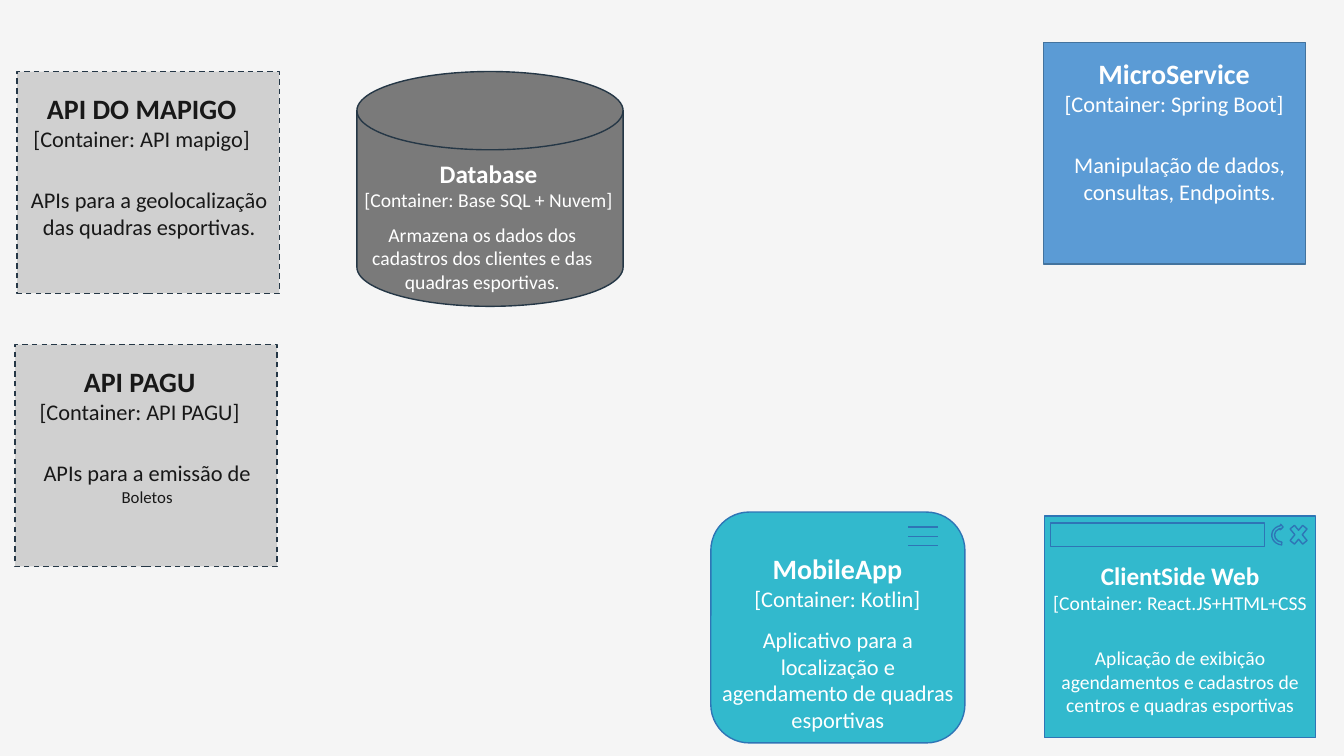
from pptx import Presentation
from pptx.dml.color import RGBColor
from pptx.enum.dml import MSO_LINE_DASH_STYLE as Dash
from pptx.enum.shapes import MSO_CONNECTOR_TYPE as Connector, MSO_SHAPE as Shape
from pptx.enum.text import MSO_AUTO_SIZE as AutoSize, PP_ALIGN as Align
from pptx.oxml.ns import qn
from pptx.util import Inches, Pt
from lxml import etree

BACKGROUND = RGBColor(0xF5, 0xF5, 0xF5)
WHITE = RGBColor(0xFF, 0xFF, 0xFF)
INK = RGBColor(0x18, 0x18, 0x18)
LIGHT_GRAY = RGBColor(0xD0, 0xD0, 0xD0)
DARK_GRAY = RGBColor(0x7A, 0x7A, 0x7A)
NAVY = RGBColor(0x25, 0x37, 0x46)
TEAL = RGBColor(0x32, 0xB9, 0xCD)
BLUE = RGBColor(0x5B, 0x9B, 0xD5)
BLUE_EDGE = RGBColor(0x43, 0x73, 0x9E)
TEAL_EDGE = RGBColor(0x2E, 0x75, 0xB6)

LABEL_WIDTH = 2.81
CARD_WIDTH = 2.6
CARD_HEIGHT = 2.2
LARGE = (20, 16)
SMALL = (18, 14)


def set_format(target, values):
    for name, value in values.items():
        setattr(target, name, value)


def add_box(shapes, kind, box, edge, fill=None, dash=None, rotation=0):
    shape = shapes.add_shape(kind, *map(Inches, box))
    shape.shadow.inherit = False
    shape.rotation = rotation
    if fill is None:
        shape.fill.background()
    else:
        shape.fill.solid()
        shape.fill.fore_color.rgb = fill
    shape.line.color.rgb = edge
    set_format(shape.line, {"width": Pt(1), "dash_style": dash})


def add_label(shapes, box, color, paragraphs):
    """Add centred text; each paragraph is a list of (text, size, bold) runs."""
    frame = shapes.add_textbox(*map(Inches, box)).text_frame
    set_format(frame, {"word_wrap": True, "auto_size": AutoSize.SHAPE_TO_FIT_TEXT})
    for index, runs in enumerate(paragraphs):
        paragraph = frame.add_paragraph() if index else frame.paragraphs[0]
        paragraph.alignment = Align.CENTER
        for text, size, bold in runs:
            run = paragraph.add_run()
            run.text = text
            set_format(run.font, {"name": "Calibri", "size": Pt(size), "bold": bold})
            run.font.color.rgb = color


def add_heading(shapes, left, top, color, name, technology, sizes):
    height = 0.71 if sizes == LARGE else 0.64
    add_label(shapes, (left, top, LABEL_WIDTH, height), color,
              [[(name, sizes[0], True)],
               [(f"[Container: {technology}", sizes[1], False)]])


def add_description(shapes, box, color, text, size):
    add_label(shapes, box, color, [[(text, size, False)]])


def add_rule(shapes, left, right, top):
    rule = shapes.add_connector(Connector.STRAIGHT, Inches(left), Inches(top),
                                Inches(right), Inches(top))
    rule.line.color.rgb = TEAL_EDGE
    rule.line.width = Pt(1)
    etree.SubElement(rule._element.spPr, qn("a:effectLst"))


def add_external_api(slide, left, top, name, technology, description):
    shapes = slide.shapes.add_group_shape().shapes
    add_box(shapes, Shape.RECTANGLE, (left, top, CARD_WIDTH, CARD_HEIGHT),
            NAVY, LIGHT_GRAY, Dash.DASH)
    add_heading(shapes, left - 0.17, top + 0.15, INK, name, technology, LARGE)
    add_label(shapes, (left + 0.01, top + 1.09, CARD_WIDTH, 0.64), INK, [description])


def add_database(slide):
    shapes = slide.shapes
    add_box(shapes, Shape.FLOWCHART_MAGNETIC_DISK, (3.54, 0.71, 2.64, 2.33),
            NAVY, DARK_GRAY)
    add_heading(shapes, 3.44, 1.52, WHITE, "Database", "Base SQL + Nuvem]", SMALL)
    add_description(shapes, (3.38, 2.16, LABEL_WIDTH, 0.81), WHITE,
                    "Armazena os dados dos cadastros dos clientes e das "
                    "quadras esportivas.", 14)


def add_web_client(slide):
    shapes = slide.shapes.add_group_shape().shapes
    add_box(shapes, Shape.RECTANGLE, (10.36, 5.12, 2.69, CARD_HEIGHT), TEAL_EDGE, TEAL)
    add_box(shapes, Shape.RECTANGLE, (10.42, 5.19, 2.12, 0.23), TEAL_EDGE)
    add_box(shapes, Shape.MATH_MULTIPLY, (12.76, 5.16, 0.24, 0.29), TEAL_EDGE)
    add_box(shapes, Shape.CIRCULAR_ARROW, (12.61, 5.19, 0.22, 0.24), TEAL_EDGE,
            rotation=275)
    add_heading(shapes, 10.3, 5.51, WHITE, "ClientSide Web", "React.JS+HTML+CSS", SMALL)
    add_description(shapes, (10.3, 6.36, LABEL_WIDTH, 0.81), WHITE,
                    "Aplicação de exibição agendamentos e cadastros de "
                    "centros e quadras esportivas", 14)


def add_mobile_app(slide):
    shapes = slide.shapes.add_group_shape().shapes
    add_box(shapes, Shape.ROUNDED_RECTANGLE, (7.05, 5.08, 2.52, 2.29), TEAL_EDGE, TEAL)
    for row in range(3):
        add_rule(shapes, 9.01, 9.3, 5.23 + 0.09 * row)
    add_heading(shapes, 6.9, 5.42, WHITE, "MobileApp", "Kotlin]", LARGE)
    add_description(shapes, (7.05, 6.16, 2.52, 1.18), WHITE,
                    "Aplicativo para a localização e agendamento de "
                    "quadras esportivas", 16)


def add_microservice(slide):
    shapes = slide.shapes.add_group_shape().shapes
    add_box(shapes, Shape.RECTANGLE, (10.35, 0.42, CARD_WIDTH, CARD_HEIGHT),
            BLUE_EDGE, BLUE)
    add_heading(shapes, 10.24, 0.51, WHITE, "MicroService", "Spring Boot]", LARGE)
    add_description(shapes, (10.44, 1.45, 2.52, 0.64), WHITE,
                    "Manipulação de dados, consultas, Endpoints.", 16)


def main():
    presentation = Presentation()
    set_format(presentation, {"slide_width": Inches(13.33), "slide_height": Inches(7.5)})
    slide = presentation.slides.add_slide(presentation.slide_layouts[6])
    slide.background.fill.solid()
    slide.background.fill.fore_color.rgb = BACKGROUND

    add_external_api(slide, 0.17, 0.71, "API DO MAPIGO", "API mapigo]",
                     [("APIs para a geolocalização das quadras esportivas.", 16, False)])
    add_database(slide)
    add_web_client(slide)
    add_mobile_app(slide)
    add_microservice(slide)
    add_external_api(slide, 0.15, 3.42, "API PAGU", "API PAGU]",
                     [("APIs para a emissão de ", 16, False), ("Boletos", 12, False)])
    presentation.save("out.pptx")


if __name__ == "__main__":
    main()
